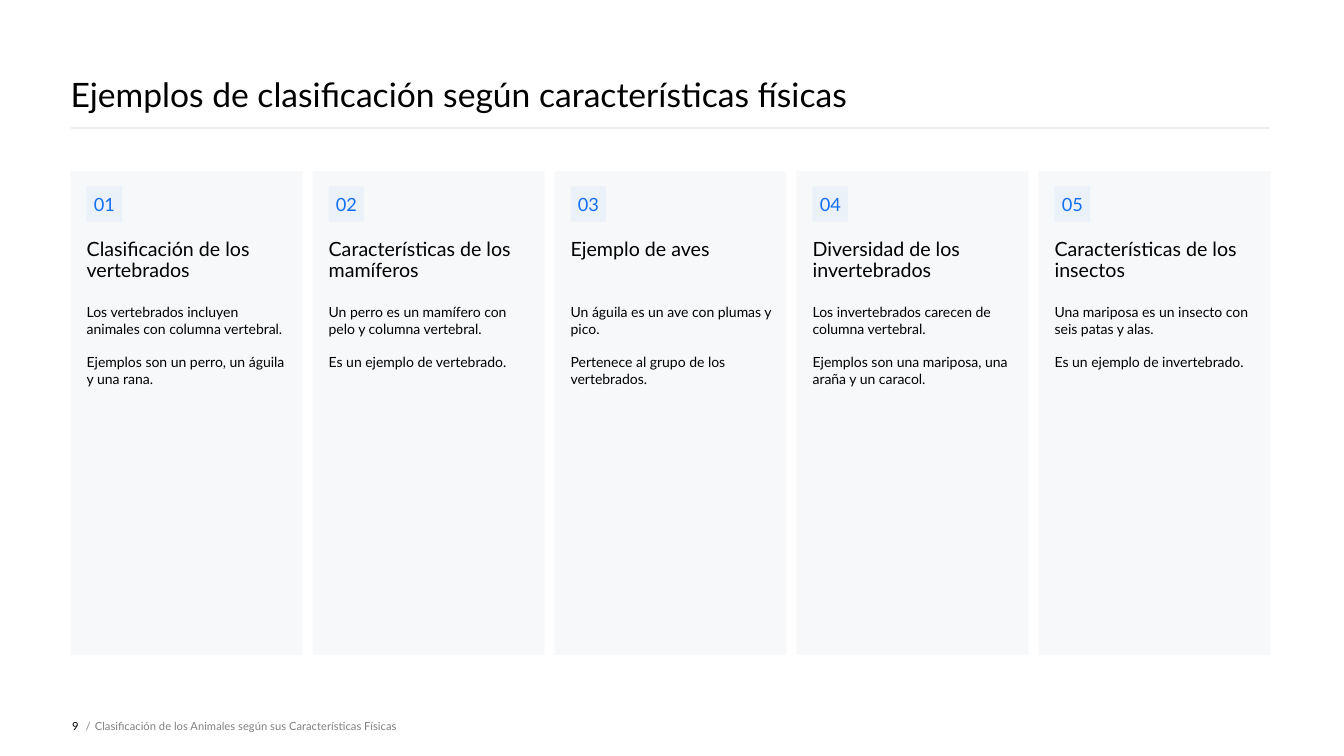
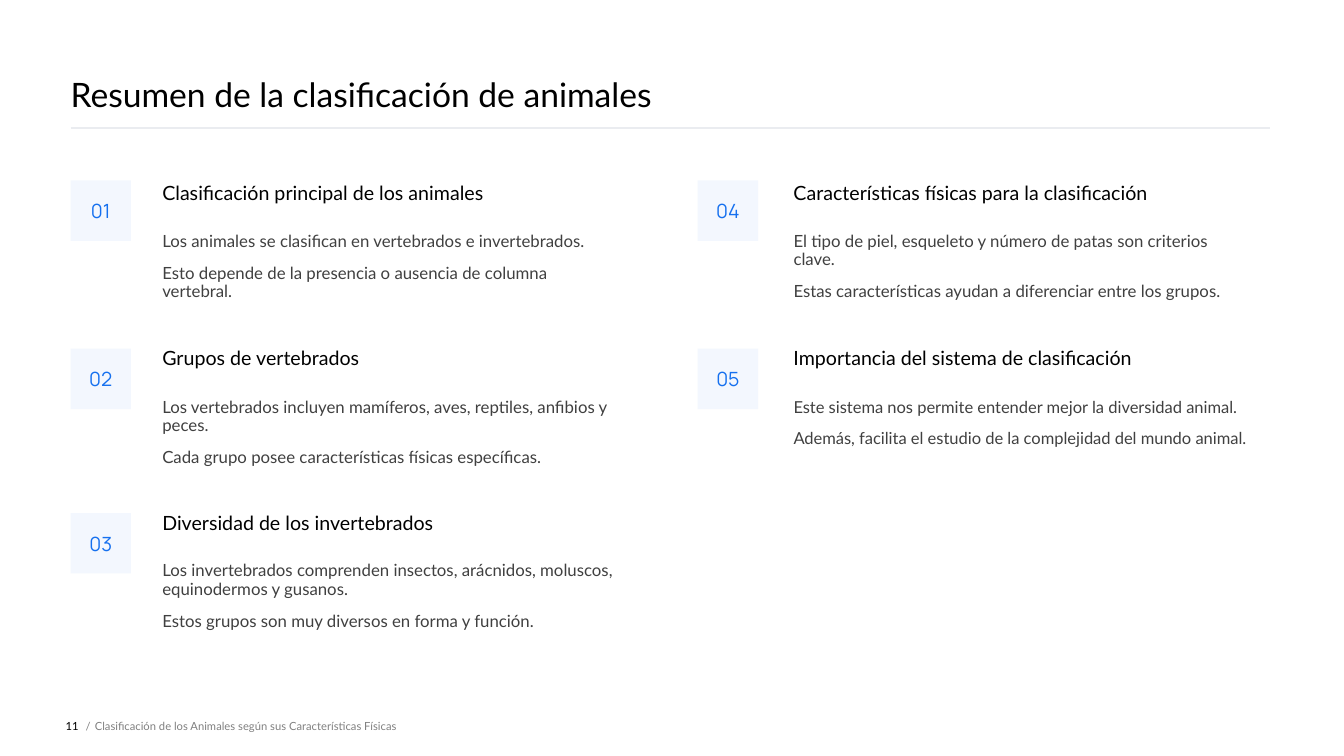
from copy import deepcopy
from dataclasses import dataclass
from typing import Any, NamedTuple

from lxml import etree
from pptx import Presentation
from pptx.dml.color import RGBColor
from pptx.enum.shapes import MSO_CONNECTOR, MSO_SHAPE
from pptx.enum.text import MSO_ANCHOR, MSO_AUTO_SIZE, PP_ALIGN
from pptx.oxml.ns import qn
from pptx.util import Emu, Pt

# Enum members
RECT = MSO_SHAPE.RECTANGLE
STRAIGHT = MSO_CONNECTOR.STRAIGHT
TOP, MIDDLE, BOTTOM = MSO_ANCHOR.TOP, MSO_ANCHOR.MIDDLE, MSO_ANCHOR.BOTTOM
LEFT, CENTER, RIGHT = PP_ALIGN.LEFT, PP_ALIGN.CENTER, PP_ALIGN.RIGHT
NO_AUTOFIT = MSO_AUTO_SIZE.NONE

# Scale: 100 px to the inch
PX = 9144

# Colours
BLACK = RGBColor(0x00, 0x00, 0x00)
DARK_GREY = RGBColor(0x40, 0x40, 0x40)
GREY = RGBColor(0x80, 0x80, 0x80)
PALE_GREY = RGBColor(0xEA, 0xEC, 0xF0)
NAVY = RGBColor(0x0E, 0x28, 0x41)
BLUE = RGBColor(0x15, 0x70, 0xEF)

# Shared layout
MARGIN = 70
RULE_Y = 127
RULE_END = 1260
FOOTER_Y = 690
FOOTER_H = 60
TOPIC_COUNT = 5
FRAME_FORMAT = {
    "margin_left": 0, "margin_top": 0, "margin_right": 0, "margin_bottom": 0,
    "word_wrap": True, "auto_size": NO_AUTOFIT,
}
DECK_NAME = "Clasificación de los Animales según sus Características Físicas"


class Box(NamedTuple):
    left: int
    top: int
    width: int
    height: int

    def emu(self) -> list[Emu]:
        return [Emu(length * PX) for length in self]


@dataclass(frozen=True)
class Style:
    size: float
    color: RGBColor = BLACK
    font: str = "Lato"
    align: Any = LEFT
    anchor: Any = TOP
    before: float = 0
    spacing: float | None = None


@dataclass(frozen=True)
class Topic:
    heading: str
    lines: tuple[str, ...]


class Row(NamedTuple):
    badge: int
    heading: int
    body: int


TITLE = Style(24, anchor=BOTTOM)
FOOTER = Style(8, GREY, anchor=MIDDLE)
PAGE_NUMBER = Style(8, align=RIGHT, anchor=MIDDLE)
CARD_BADGE = Style(13, BLUE, align=CENTER, anchor=MIDDLE)
SUMMARY_BADGE = Style(14, BLUE, "Manrope", CENTER, MIDDLE)
HEADING = Style(14, spacing=0.9)
CARD_BODY = Style(10, before=12)
SUMMARY_BODY = Style(12, DARK_GREY, before=10, spacing=0.9)
TIGHT_BODY = Style(11.8, DARK_GREY, before=9.8, spacing=0.9)

# Content
EXAMPLES = (
    Topic("Clasificación de los vertebrados",
          ("Los vertebrados incluyen animales con columna vertebral.",
           "Ejemplos son un perro, un águila y una rana.")),
    Topic("Características de los mamíferos",
          ("Un perro es un mamífero con pelo y columna vertebral.",
           "Es un ejemplo de vertebrado.")),
    Topic("Ejemplo de aves",
          ("Un águila es un ave con plumas y pico.",
           "Pertenece al grupo de los vertebrados.")),
    Topic("Diversidad de los invertebrados",
          ("Los invertebrados carecen de columna vertebral.",
           "Ejemplos son una mariposa, una araña y un caracol.")),
    Topic("Características de los insectos",
          ("Una mariposa es un insecto con seis patas y alas.",
           "Es un ejemplo de invertebrado.")),
)
SUMMARY = (
    Topic("Clasificación principal de los animales",
          ("Los animales se clasifican en vertebrados e invertebrados.",
           "Esto depende de la presencia o ausencia de columna vertebral.")),
    Topic("Grupos de vertebrados",
          ("Los vertebrados incluyen mamíferos, aves, reptiles, anfibios y peces.",
           "Cada grupo posee características físicas específicas.")),
    Topic("Diversidad de los invertebrados",
          ("Los invertebrados comprenden insectos, arácnidos, moluscos, "
           "equinodermos y gusanos.",
           "Estos grupos son muy diversos en forma y función.")),
    Topic("Características físicas para la clasificación",
          ("El tipo de piel, esqueleto y número de patas son criterios clave.",
           "Estas características ayudan a diferenciar entre los grupos.")),
    Topic("Importancia del sistema de clasificación",
          ("Este sistema nos permite entender mejor la diversidad animal.",
           "Además, facilita el estudio de la complejidad del mundo animal.")),
)
SUMMARY_ROWS = (Row(179, 182, 231), Row(346, 346, 396), Row(509, 510, 558))
SUMMARY_COLUMNS = ((70, 161), (692, 787))  # badge and text left edges


# Drawing helpers
def apply(target: Any, values: dict[str, Any]) -> None:
    for attribute, value in values.items():
        setattr(target, attribute, value)


def write(shape: Any, lines: tuple[str, ...], style: Style) -> None:
    frame = shape.text_frame
    apply(frame, FRAME_FORMAT | {"vertical_anchor": style.anchor})
    for index, line in enumerate(lines):
        paragraph = frame.add_paragraph() if index else frame.paragraphs[0]
        apply(paragraph, {"alignment": style.align,
                          "space_before": Pt(style.before),
                          "line_spacing": style.spacing})
        run = paragraph.add_run()
        run.text = line
        apply(run.font, {"name": style.font, "size": Pt(style.size)})
        run.font.color.rgb = style.color


def add_text(slide: Any, box: Box, text: str, style: Style) -> None:
    write(slide.shapes.add_textbox(*box.emu()), (text,), style)


def add_tint(slide: Any, box: Box, color: RGBColor, percent: int) -> Any:
    tint = slide.shapes.add_shape(RECT, *box.emu())
    tint.shadow.inherit = False
    tint.fill.solid()
    tint.fill.fore_color.rgb = color
    tint.line.fill.background()
    fill_color = tint.element.spPr.find(".//" + qn("a:srgbClr"))
    etree.SubElement(fill_color, qn("a:alpha")).set("val", str(percent * 1000))
    return tint


def add_badge(slide: Any, box: Box, number: int, style: Style) -> None:
    write(add_tint(slide, box, BLUE, 5), (f"{number:02d}",), style)


def fill_placeholder(placeholder: Any, box: Box, lines: tuple[str, ...],
                     style: Style) -> None:
    apply(placeholder, dict(zip(box._fields, box.emu())))
    write(placeholder, lines, style)
    # Bring it in front of what is already drawn
    placeholder.element.getparent().append(placeholder.element)


def fill_list(body: Any, box: Box, lines: tuple[str, ...], style: Style) -> None:
    fill_placeholder(body, box, lines, style)
    for paragraph in body.text_frame.paragraphs:
        properties = paragraph._p.get_or_add_pPr()
        properties.set("marL", "0")
        properties.set("indent", "0")
        etree.SubElement(properties, qn("a:buNone"))


# Shared parts
def prepare_layout(presentation: Any) -> Any:
    """Give the title-and-content layout one body placeholder per topic."""
    layout = presentation.slide_layouts[1]
    body = layout.placeholders[1].element
    for index in range(20, 19 + TOPIC_COUNT):
        extra = deepcopy(body)
        extra.find(".//" + qn("p:cNvPr")).set("id", str(index))
        extra.find(".//" + qn("p:ph")).set("idx", str(index))
        body.getparent().append(extra)
    return layout


def start_slide(presentation: Any, layout: Any, title: str,
                page: int) -> tuple[Any, list[Any]]:
    slide = presentation.slides.add_slide(layout)
    heading, *bodies = list(slide.placeholders)
    fill_placeholder(heading, Box(MARGIN, 0, 1194, 113), (title,), TITLE)

    rule = slide.shapes.add_connector(
        STRAIGHT, *Box(MARGIN, RULE_Y, RULE_END, RULE_Y).emu())
    rule.line.color.rgb = PALE_GREY
    rule.line.width = Pt(2)
    etree.SubElement(rule.element.spPr, qn("a:effectLst"))

    add_text(slide, Box(47, FOOTER_Y, 31, FOOTER_H), str(page), PAGE_NUMBER)
    add_text(slide, Box(82, FOOTER_Y, 12, FOOTER_H), " /", FOOTER)
    add_text(slide, Box(94, FOOTER_Y, 861, FOOTER_H), DECK_NAME, FOOTER)
    return slide, bodies


# Slides
def build_examples(presentation: Any, layout: Any) -> None:
    slide, bodies = start_slide(
        presentation, layout,
        "Ejemplos de clasificación según características físicas", 9)
    card_width, gap, padding = 230, 10, 16
    for index, (topic, body) in enumerate(zip(EXAMPLES, bodies)):
        card_left = MARGIN + index * (card_width + gap)
        left = card_left + padding
        add_tint(slide, Box(card_left, 170, card_width, 480), NAVY, 3)
        add_badge(slide, Box(left, 185, 35, 35), index + 1, CARD_BADGE)
        add_text(slide, Box(left, 238, 200, 50), topic.heading, HEADING)
        fill_list(body, Box(left, 301, 200, 330), topic.lines, CARD_BODY)


def build_summary(presentation: Any, layout: Any) -> None:
    slide, bodies = start_slide(
        presentation, layout, "Resumen de la clasificación de animales", 11)
    for index, (topic, body) in enumerate(zip(SUMMARY, bodies)):
        column, line = divmod(index, len(SUMMARY_ROWS))
        badge_left, left = SUMMARY_COLUMNS[column]
        row = SUMMARY_ROWS[line]
        style = TIGHT_BODY if index == len(SUMMARY) - 1 else SUMMARY_BODY
        add_badge(slide, Box(badge_left, row.badge, 60, 60), index + 1,
                  SUMMARY_BADGE)
        add_text(slide, Box(left, row.heading, 450, 40), topic.heading, HEADING)
        fill_list(body, Box(left, row.body, 450, 80), topic.lines, style)


def main() -> None:
    presentation = Presentation()
    apply(presentation, {"slide_width": Emu(1333 * PX),
                         "slide_height": Emu(750 * PX)})
    layout = prepare_layout(presentation)
    build_examples(presentation, layout)
    build_summary(presentation, layout)
    presentation.save("out.pptx")


if __name__ == "__main__":
    main()
